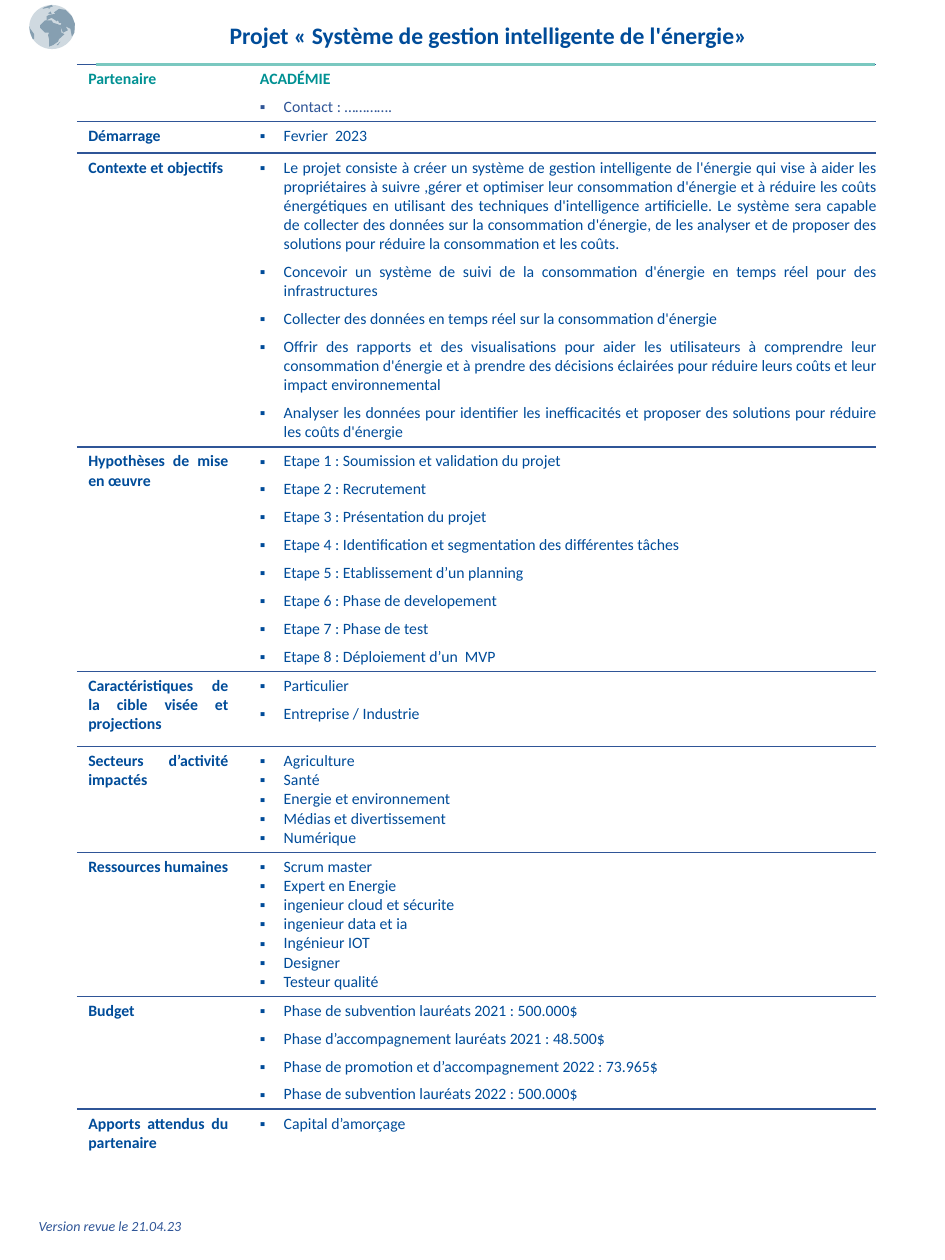
from dataclasses import dataclass
from typing import Any

import pptx
import pptx.dml.color
import pptx.enum.shapes
import pptx.enum.text
import pptx.oxml.ns
import pptx.util
from lxml import etree

Cm, Pt = pptx.util.Cm, pptx.util.Pt
Align = pptx.enum.text.PP_ALIGN
Anchor = pptx.enum.text.MSO_ANCHOR
AutoSize = pptx.enum.text.MSO_AUTO_SIZE
qn = pptx.oxml.ns.qn


@dataclass(frozen=True)
class Theme:
    """Colours and type sizes of the slide."""
    font: str = "Calibri"
    navy: str = "004C99"
    blue: str = "2F5597"
    teal: str = "009193"
    rule: str = "7AC8C0"
    white: str = "FFFFFF"
    sea: str = "CFD9E0"
    land: str = "869FB1"
    title: float = 13.5
    body: float = 9
    note: float = 8


@dataclass(frozen=True)
class Section:
    """One table row: a label, an optional heading and bullets."""
    label: str
    height: float
    bullets: tuple[str, ...]
    heading: str = ""
    gap: float = 5
    label_color: str = Theme.navy
    color: str = Theme.navy


T = Theme()
COLS = (3.23, 12.88)
SECTIONS = (
    Section("Partenaire", 1.04, ("Contact : ………….",), heading="ACADÉMIE",
            label_color=T.teal, color=T.blue),
    Section("Démarrage", 0.64, ("Fevrier  2023",)),
    Section("Contexte et objectifs", 5.59, (
        "Le projet consiste à créer un système de gestion intelligente de l'énergie qui vise à "
        "aider les propriétaires à suivre ,gérer et optimiser leur consommation d'énergie et à "
        "réduire les coûts énergétiques en utilisant des techniques d'intelligence artificielle. "
        "Le système sera capable de collecter des données sur la consommation d'énergie, de les "
        "analyser et de proposer des solutions pour réduire la consommation et les coûts.",
        "Concevoir un système de suivi de la consommation d'énergie en temps réel pour des "
        "infrastructures",
        "Collecter des données en temps réel sur la consommation d'énergie",
        "Offrir des rapports et des visualisations pour aider les utilisateurs à comprendre leur "
        "consommation d'énergie et à prendre des décisions éclairées pour réduire leurs coûts et "
        "leur impact environnemental",
        "Analyser les données pour identifier les inefficacités et proposer des solutions pour "
        "réduire les coûts d'énergie")),
    Section("Hypothèses de mise en œuvre", 4.09, (
        "Etape 1 : Soumission et validation du projet",
        "Etape 2 : Recrutement",
        "Etape 3 : Présentation du projet",
        "Etape 4 : Identification et segmentation des différentes tâches",
        "Etape 5 : Etablissement d’un planning",
        "Etape 6 : Phase de developement",
        "Etape 7 : Phase de test",
        "Etape 8 : Déploiement d’un  MVP")),
    Section("Caractéristiques de la cible visée et projections", 1.52,
            ("Particulier", "Entreprise / Industrie")),
    Section("Secteurs d’activité impactés", 1.98,
            ("Agriculture", "Santé", "Energie et environnement",
             "Médias et divertissement", "Numérique"), gap=0),
    Section("Ressources humaines", 2.62,
            ("Scrum master", "Expert en Energie", "ingenieur cloud et sécurite",
             "ingenieur data et ia", "Ingénieur IOT", "Designer", "Testeur qualité"), gap=0),
    Section("Budget", 2.08, (
        "Phase de subvention lauréats 2021 : 500.000$",
        "Phase d’accompagnement lauréats 2021 : 48.500$",
        "Phase de promotion et d’accompagnement 2022 : 73.965$",
        "Phase de subvention lauréats 2022 : 500.000$")),
    Section("Apports attendus du partenaire", 2.64, ("Capital d’amorçage",), gap=0),
)

# Land outlines in hundredths of a centimetre
LANDS = (
    ((119, 18), (109, 25), (112, 28), (99, 30), (94, 33), (94, 41), (104, 36), (112, 41),
     (114, 43), (117, 41), (119, 46), (124, 46), (122, 51), (114, 48), (107, 46), (104, 41),
     (91, 41), (81, 51), (81, 56), (91, 66), (99, 66), (97, 71), (99, 79), (99, 94),
     (107, 91), (117, 84), (119, 79), (130, 69), (124, 66), (122, 53), (127, 66), (137, 61),
     (132, 53), (142, 58), (145, 74), (150, 66), (151, 48), (145, 33), (132, 20)),
    ((59, 53), (61, 66), (66, 79), (69, 79), (69, 69), (61, 58)),
    ((104, 10), (89, 15), (86, 18), (99, 15), (107, 13)),
    ((122, 84), (114, 91), (117, 91)),
    ((102, 23), (99, 28), (104, 28)),
    ((97, 15), (99, 18), (102, 15)),
    ((99, 25), (97, 28), (102, 25)),
)


def rgb(color: str) -> pptx.dml.color.RGBColor:
    """Turn a hex string into a colour."""
    return pptx.dml.color.RGBColor.from_string(color)


def apply(obj: Any, values: dict[str, Any]) -> None:
    """Set every attribute named in values."""
    for name, value in values.items():
        setattr(obj, name, value)


def write(p: Any, text: str, size: float, color: str, **font: bool) -> None:
    """Add one formatted run to a paragraph."""
    r = p.add_run()
    r.text = text
    apply(r.font, {"name": T.font, "size": Pt(size), **font})
    r.font.color.rgb = rgb(color)


def add_bullet(p: Any) -> None:
    """Give a paragraph a square bullet with a hanging indent."""
    pPr = p._p.get_or_add_pPr()
    pPr.set("marL", str(Cm(0.48)))
    pPr.set("indent", str(-Cm(0.48)))
    etree.SubElement(pPr, qn("a:buFont")).set("typeface", "Arial")
    etree.SubElement(pPr, qn("a:buChar")).set("char", "▪")


def set_borders(cell: Any, colors: dict[str, str | None]) -> None:
    """Draw the cell edges; None leaves an edge empty."""
    tcPr = cell._tc.get_or_add_tcPr()
    for side in "LRTB":
        ln = etree.SubElement(tcPr, qn(f"a:ln{side}"), w=str(Pt(1)))
        color = colors.get(side)
        if color:
            fill = etree.SubElement(ln, qn("a:solidFill"))
            etree.SubElement(fill, qn("a:srgbClr")).set("val", color)
        else:
            etree.SubElement(ln, qn("a:noFill"))


def fill_cell(cell: Any, lines: list[tuple[str, str, bool, bool]], gap: float) -> None:
    """Write (text, colour, bold, bullet) lines into a cell."""
    tf = cell.text_frame
    for i, (text, color, bold, bullet) in enumerate(lines):
        p = tf.add_paragraph() if i else tf.paragraphs[0]
        apply(p, {"alignment": Align.JUSTIFY, "space_before": Pt(gap)})
        if bullet:
            add_bullet(p)
        write(p, text, T.body, color, bold=bold)


def add_sections(s: Any) -> None:
    """Build the project table."""
    height = sum(sec.height for sec in SECTIONS)
    table = s.shapes.add_table(len(SECTIONS), len(COLS), Cm(1.55), Cm(1.3),
                               Cm(sum(COLS)), Cm(height)).table
    apply(table, {"first_row": False, "horz_banding": False})
    for col, width in zip(table.columns, COLS):
        col.width = Cm(width)
    for i, sec in enumerate(SECTIONS):
        table.rows[i].height = Cm(sec.height)
        edges = {"T": T.blue, "B": T.blue if i < len(SECTIONS) - 1 else None}
        left, right = table.cell(i, 0), table.cell(i, 1)
        heading = [(sec.heading, sec.label_color, True, False)] if sec.heading else []
        fill_cell(left, [(sec.label, sec.label_color, True, False)], 5)
        fill_cell(right, heading + [(b, sec.color, False, True) for b in sec.bullets], sec.gap)
        for cell, inner, pads in ((left, "R", (0.23, 0.18)), (right, "L", (0.46, 0))):
            apply(cell, {"margin_left": Cm(pads[0]), "margin_right": Cm(pads[1]),
                         "margin_top": Cm(0.1), "margin_bottom": Cm(0.1)})
            set_borders(cell, {**edges, inner: T.white})
            cell.fill.background()


def add_heading(s: Any) -> None:
    """Place the title and the rule under it."""
    sp = s.shapes.title
    apply(sp, {"left": Cm(1.27), "top": Cm(0.13), "width": Cm(17.15), "height": Cm(1.14)})
    tf = sp.text_frame
    apply(tf, {"vertical_anchor": Anchor.MIDDLE, "auto_size": AutoSize.NONE, "word_wrap": True})
    p = tf.paragraphs[0]
    p.alignment = Align.CENTER
    write(p, "Projet «\u00a0Système de gestion intelligente de l'énergie»", T.title, T.navy,
          bold=True)
    rule = s.shapes.add_connector(pptx.enum.shapes.MSO_CONNECTOR.STRAIGHT,
                                  Cm(1.93), Cm(1.3), Cm(17.63), Cm(1.3))
    rule.line.color.rgb = rgb(T.rule)
    rule.line.width = Pt(2.25)
    etree.SubElement(rule._element.spPr, qn("a:effectLst"))


def add_version(s: Any) -> None:
    """Place the revision note at the foot."""
    tf = s.shapes.add_textbox(Cm(0.53), Cm(24.41), Cm(3.43), Cm(0.61)).text_frame
    apply(tf, {"word_wrap": False, "auto_size": AutoSize.SHAPE_TO_FIT_TEXT})
    write(tf.paragraphs[0], "Version revue le 21.04.23", T.note, T.blue, italic=True)


def add_globe(s: Any) -> None:
    """Draw the globe as one group."""
    shapes = s.shapes.add_group_shape().shapes
    parts = [(shapes.add_shape(pptx.enum.shapes.MSO_SHAPE.OVAL,
                               Cm(0.59), Cm(0.1), Cm(0.92), Cm(0.89)), T.sea)]
    for start, *rest in LANDS:
        outline = shapes.build_freeform(*start, scale=Cm(0.01))
        outline.add_line_segments(rest, close=True)
        parts.append((outline.convert_to_shape(), T.land))
    for sp, color in parts:
        sp.shadow.inherit = False
        sp.fill.solid()
        sp.fill.fore_color.rgb = rgb(color)
        sp.line.fill.background()


prs = pptx.Presentation()
apply(prs, {"slide_width": Cm(19.05), "slide_height": Cm(25.4)})
s = prs.slides.add_slide(prs.slide_layouts[5])
for draw in (add_sections, add_heading, add_version, add_globe):
    draw(s)
prs.save("out.pptx")
